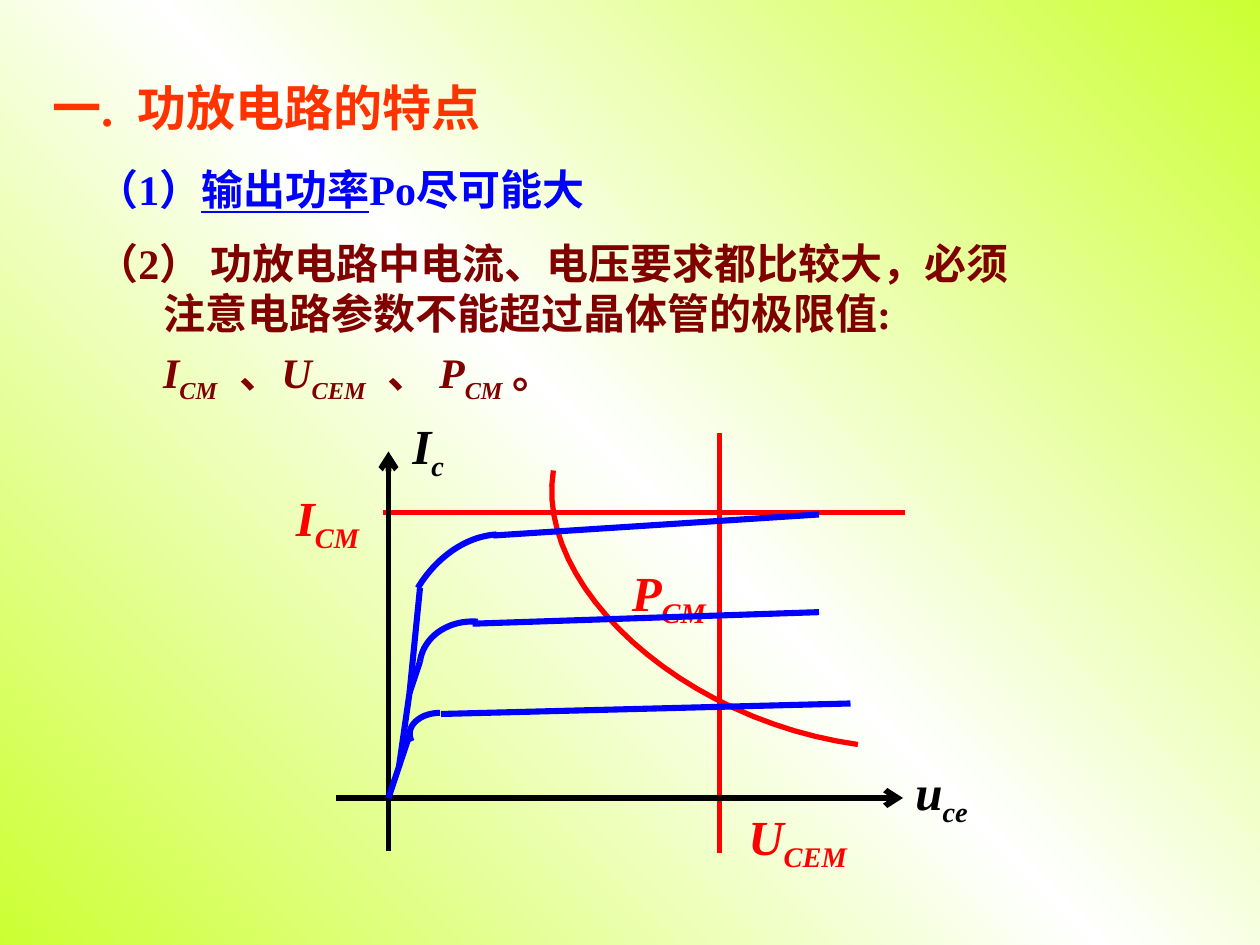
from copy import deepcopy

from lxml.etree import SubElement
from pptx import Presentation
from pptx.dml.color import RGBColor
from pptx.enum.shapes import MSO_CONNECTOR as Connector
from pptx.oxml.ns import qn
from pptx.util import Inches, Pt

COLUMNS, ROWS = 120, 90
RED, BLUE, BLACK = "FF0000", "0000FF", "000000"
ORANGE, MAROON = "FF3300", "800000"
LIME, WHITE = "CCFF33", "FFFFFF"


def color(code):
    return RGBColor.from_string(code)


def span(text, **style):
    return text, style


def subscript(text, **style):
    return span(text, italic=True, baseline=-25, **style)


def bezier(start, control1, control2, end, steps=24):
    """Return points along a cubic curve."""
    points = []
    for step in range(steps + 1):
        t = step / steps
        weights = (1 - t) ** 3, 3 * t * (1 - t) ** 2, 3 * t * t * (1 - t), t ** 3
        corners = zip(start, control1, control2, end)
        points.append(tuple(sum(w * value for w, value in zip(weights, axis))
                            for axis in corners))
    return points


class Painter:
    """Draws on one slide; lengths are columns and rows of the grid."""

    font = "Times New Roman"

    def __init__(self, deck):
        self.slide = deck.slides.add_slide(deck.slide_layouts[6])
        self.shapes = self.slide.shapes
        self.column = deck.slide_width / COLUMNS
        self.row = deck.slide_height / ROWS

    def place(self, x, y):
        return round(x * self.column), round(y * self.row)

    def background(self, edge, middle):
        fill = self.slide.background.fill
        fill.gradient()
        fill.gradient_angle = 225
        first = fill.gradient_stops[0]
        first.color.rgb = color(edge)
        fill.gradient_stops[1].color.rgb = color(edge)
        fill.gradient_stops[1].position = 1
        stops = self.slide.background._cSld.find(".//" + qn("a:gsLst"))
        stops.insert(1, deepcopy(stops[0]))
        fill.gradient_stops[1].position = 0.5
        fill.gradient_stops[1].color.rgb = color(middle)

    def text(self, x, y, width, height, *paragraphs, ink=BLACK, size=28,
             indent=0, hanging=0, gap=0):
        """Write paragraphs, each a list of spans; hanging is for the first."""
        box = self.shapes.add_textbox(*self.place(x, y), *self.place(width, height))
        frame = box.text_frame
        frame.word_wrap = True
        for index, spans in enumerate(paragraphs):
            para = frame.add_paragraph() if index else frame.paragraphs[0]
            para.space_before = Pt(gap if index else 0)
            properties = para._p.get_or_add_pPr()
            properties.set("marL", str(Inches(indent)))
            properties.set("indent", str(0 if index else -Inches(hanging)))
            for words, style in spans:
                self.run(para, words, ink, size, **style)

    def run(self, para, words, ink, size, italic=False, underline=False,
            baseline=0, spacing=0):
        run = para.add_run()
        run.text = words
        font = run.font
        font.name, font.size, font.bold = self.font, Pt(size), True
        font.italic, font.underline = italic, underline
        font.color.rgb = color(ink)
        if baseline:
            font._element.set("baseline", str(baseline * 1000))
        if spacing:
            font._element.set("spc", str(spacing * 100))

    def label(self, x, y, width, symbol, index, ink=BLACK):
        self.text(x, y, width, 7.6, [span(symbol, italic=True), subscript(index)],
                  ink=ink)

    def line(self, start, end, ink=BLUE, weight=3.5, arrow=False):
        line = self.shapes.add_connector(
            Connector.STRAIGHT, *self.place(*start), *self.place(*end))
        line.line.color.rgb = color(ink)
        line.line.width = Pt(weight)
        SubElement(line._element.spPr, qn("a:effectLst"))
        if arrow:
            SubElement(line.line._get_or_add_ln(), qn("a:tailEnd"), type="arrow")

    def curve(self, *controls, ink=BLUE, weight=3.5):
        first, *rest = [self.place(*point) for point in bezier(*controls)]
        builder = self.shapes.build_freeform(*first)
        builder.add_line_segments(rest, close=False)
        curve = builder.convert_to_shape()
        curve.shadow.inherit = False
        curve.fill.background()
        curve.line.color.rgb = color(ink)
        curve.line.width = Pt(weight)


def write_points(painter):
    painter.text(3.8, 6.8, 48, 6.8,
                 [span("一."), span(" ", spacing=7), span("功放电路的特点")],
                 ink=ORANGE)
    painter.text(8, 15, 57, 6,
                 [span("（1）"), span("输出功率", underline=True), span("Po尽可能大")],
                 ink=BLUE, size=24)
    wide_space = subscript(" ", spacing=9)
    limits = [span("I", italic=True), subscript("CM"), wide_space, span("、"),
              span("U", italic=True), subscript("CEM"), wide_space, span("、 "),
              span("P", italic=True), subscript("CM"), subscript(" ", spacing=2),
              span("。")]
    painter.text(8, 22, 91.3, 17.6,
                 [span("（2） 功放电路中电流、电压要求都比较大，必须"
                       "注意电路参数不能超过晶体管的极限值:")],
                 limits, ink=MAROON, size=24, indent=0.53, hanging=0.53, gap=5)


def draw_limits(painter):
    limit = {"ink": RED, "weight": 3}
    painter.line((36.5, 48.8), (86.2, 48.8), **limit)
    painter.label(27, 45.8, 9.5, "I", "CM", RED)
    painter.curve((52.7, 44.8), (50.9, 55.9), (65, 68.6), (81.7, 70.9), **limit)
    painter.label(59, 53, 13.2, "P", "CM", RED)
    painter.line((68.5, 41.2), (68.5, 81.2), **limit)
    painter.label(70.1, 76.2, 13, "U", "CEM", RED)


def draw_characteristics(painter):
    for start, end in (((37, 81), (37, 43)), ((32, 76), (86, 76))):
        painter.line(start, end, BLACK, 3.25, arrow=True)
    painter.label(38.1, 39, 6.5, "I", "c")
    painter.label(86, 71.9, 9, "u", "ce")

    knees = [
        ((39.2, 70.6), (38.5, 69.2), (40, 67.9), (41.9, 67.9)),
        ((40, 63), (40.3, 60.8), (42.5, 59), (45.5, 59.2)),
        ((39.8, 56), (41.4, 53.3), (44.2, 51.1), (47.3, 50.9)),
    ]
    for knee in knees:
        painter.curve(*knee)
    plateaus = [((42, 68), (81, 67)), ((45, 59.4), (78, 58.3)), ((47, 51), (78, 49))]
    rises = [((37, 76), (39, 70)), ((38, 73), (39, 66)),
             ((39, 66), (40, 63)), ((39, 66), (40, 56))]
    for start, end in plateaus + rises:
        painter.line(start, end)


def main():
    deck = Presentation()
    deck.slide_width, deck.slide_height = Inches(10), Inches(7.5)
    painter = Painter(deck)
    painter.background(LIME, WHITE)
    write_points(painter)
    draw_limits(painter)
    draw_characteristics(painter)
    deck.save("out.pptx")


if __name__ == "__main__":
    main()
